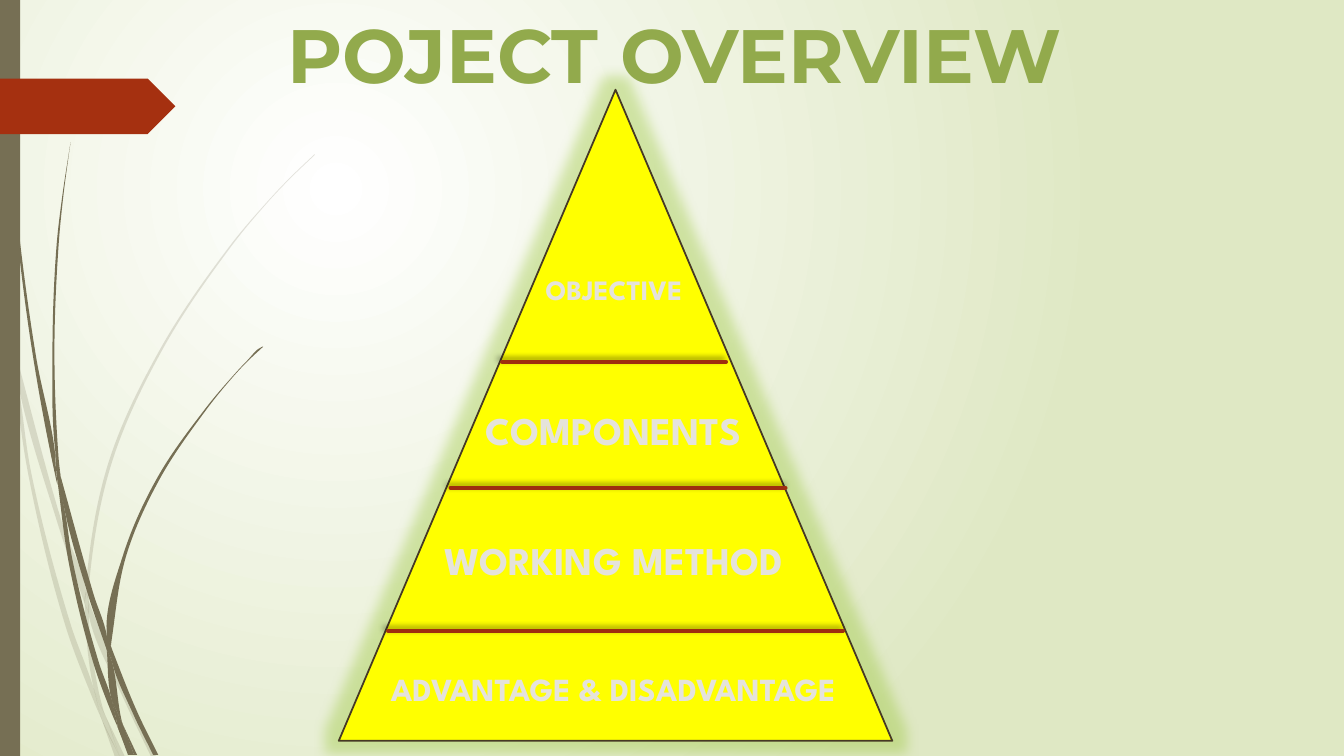
from pptx import Presentation
from pptx.dml.color import RGBColor
from pptx.enum.shapes import MSO_CONNECTOR, MSO_SHAPE
from pptx.enum.text import MSO_ANCHOR, MSO_AUTO_SIZE, PP_ALIGN
from pptx.oxml import parse_xml
from pptx.oxml.ns import nsdecls
from pptx.util import Inches, Pt


class Theme:
    white = "FFFFFF"
    mist = "DFE8C4"
    bark = "766F54"
    bark_edge = "59533F"
    chalk = "E5E3DB"
    rust = "A53010"
    rule = "9E2E0F"
    pyramid = "FFFF00"
    pyramid_edge = "463924"
    glow = "9BC73C"
    heading = "92AA4C"
    heading_font = "Montserrat"
    label_font = "League Spartan"
    heading_size = 54
    large, medium, small = 28, 23, 20


def drawing(body):
    """Parse one DrawingML element written with the a: prefix."""
    return parse_xml(f"<a:root {nsdecls('a')}>{body}</a:root>")[0]


def write_centered(frame, text, font, size, color, edge, edge_width):
    """Put one bold, outlined run on a single unwrapped line."""
    frame.word_wrap = False
    frame.auto_size = MSO_AUTO_SIZE.NONE
    frame.vertical_anchor = MSO_ANCHOR.TOP
    para = frame.paragraphs[0]
    para.alignment = PP_ALIGN.CENTER
    para.line_spacing = 1.0
    span = para.add_run()
    span.text = text
    span.font.name = font
    span.font.size = Pt(size)
    span.font.bold = True
    span.font.color.rgb = RGBColor.from_string(color)
    span.font._element.insert(0, drawing(
        f'<a:ln w="{Pt(edge_width)}"><a:solidFill><a:srgbClr val="{edge}"/></a:solidFill></a:ln>'))
    return span


deck = Presentation()
deck.slide_width, deck.slide_height = Inches(13.33), Inches(7.5)
slide = deck.slides.add_slide(deck.slide_layouts[5])
shapes = slide.shapes

# Background: light spot in the upper left
backdrop = slide.background.fill
backdrop.gradient()
for stop, color, position in zip(backdrop.gradient_stops, (Theme.white, Theme.mist), (0, 1)):
    stop.color.rgb = RGBColor.from_string(color)
    stop.position = position
gradient = slide.element.find(".//{*}gradFill")
gradient.replace(gradient.find("{*}lin"), drawing(
    '<a:path path="circle"><a:fillToRect l="50000" t="50000" r="100000" b="100000"/></a:path>'))

# Grass: corner points of each blade section, x and y in inches
pale_grass = [
    [(.11, 3.5), (.09, 3.22), (0, 2.82), (0, 2.99), (.1, 3.44)],
    [(.58, 5.22), (.84, 5.99), (.85, 5.86), (.62, 5.2), (.14, 3.45), (.17, 3.76)],
    [(.92, 6.07), (.88, 5.96), (.88, 6.1), (1.23, 6.94), (1.5, 7.51), (1.55, 7.51),
     (1.27, 6.92)],
    [(1.19, 7.51), (1.24, 7.51), (1.05, 7.11)],
    [(.93, 6.83), (.7, 6.19), (.31, 4.69), (.17, 3.76), (.11, 3.5), (.28, 4.7), (.65, 6.21),
     (.92, 6.93), (1.01, 7.14), (.99, 7.07)],
    [(.84, 5.99), (.87, 6.46), (.93, 6.83), (.96, 6.92), (1.05, 7.11), (1.03, 7.06),
     (.91, 6.46), (.88, 6.1), (.88, 6.08)],
    [(.88, 5.84), (1.1, 4.62), (1.6, 3.49), (2.29, 2.45), (2.68, 1.98), (2.9, 1.75),
     (3.12, 1.54), (3.12, 1.53), (2.89, 1.75), (2.68, 1.97), (2.28, 2.44), (1.58, 3.48),
     (1.07, 4.61), (.85, 5.84), (.85, 5.86), (.88, 5.96)],
    [(1.01, 7.14), (1.14, 7.51), (1.19, 7.51)],
    [(.88, 6.08), (.88, 6.1), (.88, 5.96), (.85, 5.86), (.84, 5.99)],
    [(.96, 6.92), (.93, 6.83), (.99, 7.07), (1.01, 7.14), (1.19, 7.51), (1.05, 7.11)],
]
dark_grass = [
    [(.07, 1.1), (.17, 2.33), (.33, 3.55), (.56, 4.77), (.57, 4.81), (.55, 4.57), (.55, 4.53),
     (.36, 3.55), (.19, 2.32), (.08, 1.09), (.05, .48), (.04, 0), (.03, 0), (.04, .48)],
    [(.88, 5.92), (1.06, 6.45), (1.06, 6.33), (1.06, 6.31), (.93, 5.9), (.6, 4.72),
     (.64, 5.05)],
    [(1.13, 6.49), (1.1, 6.41), (1.11, 6.56), (1.32, 7.08), (1.52, 7.49), (1.57, 7.49),
     (1.36, 7.06)],
    [(1.1, 6.91), (.98, 6.57), (.72, 5.56), (.64, 5.05), (.57, 4.77), (.68, 5.57),
     (.93, 6.59), (1.11, 7.08), (1.17, 7.22), (1.16, 7.17)],
    [(.6, 4.72), (.58, 4.53), (.54, 3.49), (.58, 2.45), (.63, 1.93), (.7, 1.41), (.62, 1.93),
     (.56, 2.45), (.52, 3.49), (.55, 4.49)],
    [(1.33, 7.49), (1.36, 7.49), (1.22, 7.19)],
    [(.57, 4.77), (.64, 5.05), (.6, 4.72), (.55, 4.49), (.55, 4.53)],
    [(1.11, 6.33), (1.25, 5.52), (1.58, 4.76), (2.05, 4.06), (2.31, 3.74), (2.45, 3.59),
     (2.61, 3.44), (2.6, 3.44), (2.45, 3.58), (2.31, 3.73), (2.04, 4.05), (1.56, 4.74),
     (1.22, 5.51), (1.06, 6.31), (1.1, 6.41)],
    [(1.17, 7.22), (1.27, 7.49), (1.31, 7.49)],
    [(1.06, 6.45), (1.1, 6.91), (1.16, 7.06), (1.22, 7.19), (1.21, 7.16), (1.11, 6.56),
     (1.09, 6.51)],
    [(1.06, 6.45), (1.09, 6.51), (1.11, 6.56), (1.1, 6.41), (1.06, 6.31), (1.06, 6.33)],
    [(1.16, 7.06), (1.1, 6.91), (1.16, 7.17), (1.17, 7.22), (1.3, 7.49), (1.33, 7.49),
     (1.22, 7.19)],
]
for sections, alpha in [(pale_grass, 20), (dark_grass, 100)]:
    tuft = shapes.add_group_shape()
    for section in sections:
        corners = [(Inches(x), Inches(y)) for x, y in section]
        builder = tuft.shapes.build_freeform(*corners[0])
        builder.add_line_segments(corners[1:] + corners[:1], close=True)
        blade = builder.convert_to_shape()
        blade.shadow.inherit = False
        blade.line.fill.background()
        blade.fill.solid()
        blade.fill.fore_color.rgb = RGBColor.from_string(Theme.bark)
        if alpha < 100:
            blade.element.find(".//{*}srgbClr").append(drawing(f'<a:alpha val="{alpha}000"/>'))

        # Bend each side, keeping sharp corners sharp
        left, top = min(x for x, y in corners), min(y for x, y in corners)
        points = [complex(x - left, y - top) for x, y in corners]
        sides = [points[(i + 1) % len(points)] - p for i, p in enumerate(points)]
        headings = [side / abs(side) for side in sides]
        outline = blade.element.find(".//{*}pathLst/{*}path")
        for i, line in enumerate(outline.findall("{*}lnTo")):
            follow = (i + 1) % len(points)
            bends = []
            for neighbour in (headings[i - 1], headings[follow]):
                mean = neighbour + headings[i]
                bends.append(mean / abs(mean) if abs(mean) > 1.85 else headings[i])
            reach = abs(sides[i]) / 3
            knots = (points[i] + bends[0] * reach, points[follow] - bends[1] * reach,
                     points[follow])
            marks = "".join(f'<a:pt x="{round(k.real)}" y="{round(k.imag)}"/>' for k in knots)
            outline.replace(line, drawing(f"<a:cubicBezTo>{marks}</a:cubicBezTo>"))

# Side bar, flag and pyramid
for kind, place, color in [
    (MSO_SHAPE.RECTANGLE, (0, 0, .2, 7.5), Theme.bark),
    (MSO_SHAPE.PENTAGON, (0, .78, 1.74, .55), Theme.rust),
    (MSO_SHAPE.ISOSCELES_TRIANGLE, (3.36, .89, 5.49, 6.46), Theme.pyramid),
]:
    block = shapes.add_shape(kind, *map(Inches, place))
    block.shadow.inherit = False
    block.fill.solid()
    block.fill.fore_color.rgb = RGBColor.from_string(color)
    block.line.fill.background()
pyramid = block
pyramid.line.color.rgb = RGBColor.from_string(Theme.pyramid_edge)
pyramid.line.width = Pt(1.25)
pyramid.element.find(".//{*}effectLst").append(drawing(
    f'<a:glow rad="{Pt(18)}"><a:srgbClr val="{Theme.glow}">'
    '<a:alpha val="40000"/></a:srgbClr></a:glow>'))

# Title
title = shapes.title
title.left, title.top, title.width, title.height = map(Inches, (2.53, .03, 8.32, 1.01))
write_centered(title.text_frame, "POJECT OVERVIEW", Theme.heading_font, Theme.heading_size,
               Theme.heading, Theme.white, .75)
title.element.getparent().append(title.element)

# Rules between the levels
for left, right, y in [(4.98, 7.2, 3.59), (4.47, 7.79, 4.84), (3.85, 8.36, 6.26)]:
    rule = shapes.add_connector(
        MSO_CONNECTOR.STRAIGHT, Inches(left), Inches(y), Inches(right), Inches(y))
    rule.line.color.rgb = RGBColor.from_string(Theme.rule)
    rule.line.width = Pt(3)
    rule.element.find(".//{*}ln").set("cap", "rnd")
    rule.element.spPr.append(drawing(
        f'<a:effectLst><a:outerShdw blurRad="{Pt(4)}" dist="{Pt(3)}" dir="13500000">'
        '<a:srgbClr val="000000"><a:alpha val="40000"/></a:srgbClr></a:outerShdw></a:effectLst>'))

# Level names
for text, place, size in [
    ("ADVANTAGE & DISADVANTAGE", (3.56, 6.59, 5.05, .49), Theme.medium),
    ("OBJECTIVE", (5.2, 2.65, 1.78, .44), Theme.small),
    ("COMPONENTS", (4.55, 3.98, 3.07, .57), Theme.large),
    ("WORKING METHOD", (4.19, 5.27, 3.79, .57), Theme.large),
]:
    box = shapes.add_textbox(*map(Inches, place))
    span = write_centered(box.text_frame, text, Theme.label_font, size,
                          Theme.chalk, Theme.bark_edge, 1)
    properties = span.font._element
    properties.replace(properties.find("{*}solidFill"), drawing(
        f'<a:pattFill prst="dkUpDiag"><a:fgClr><a:srgbClr val="{Theme.bark}"/></a:fgClr>'
        f'<a:bgClr><a:srgbClr val="{Theme.chalk}"/></a:bgClr></a:pattFill>'))

deck.save("out.pptx")
